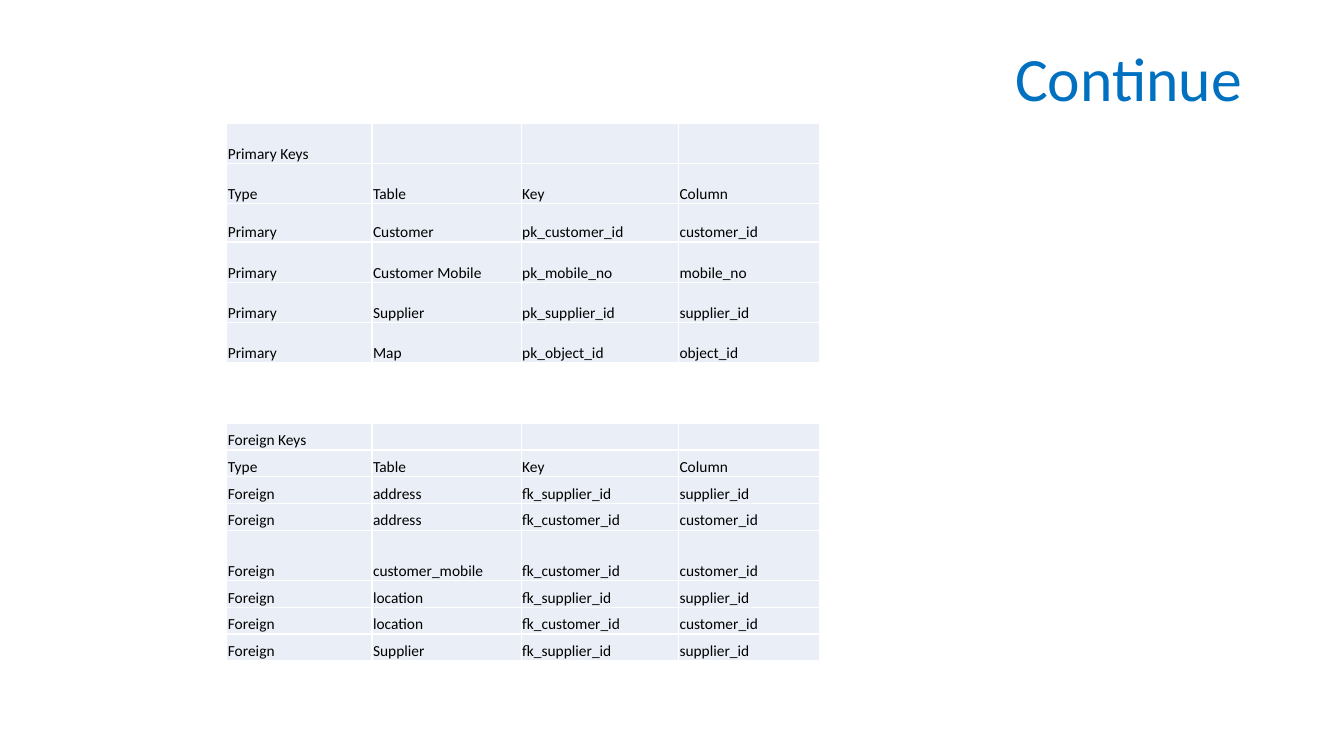
from dataclasses import dataclass

from lxml import etree
from pptx import Presentation
from pptx.dml.color import RGBColor
from pptx.enum.text import MSO_ANCHOR, PP_ALIGN
from pptx.oxml.ns import qn
from pptx.slide import Slide
from pptx.table import _Cell
from pptx.text.text import _Paragraph
from pptx.util import Inches, Pt

RIGHT = PP_ALIGN.RIGHT
MIDDLE, BOTTOM = MSO_ANCHOR.MIDDLE, MSO_ANCHOR.BOTTOM

COLORS = {"title": "0070C0", "text": "000000", "cell": "EAEFF7", "border": "FFFFFF"}
FONT = "Calibri"
CELL_SIZE = Pt(11)
TABLE_LEFT = 2.25
COLUMN_WIDTHS = (1.44, 1.48, 1.56, 1.4)
HEADINGS = ("Type", "Table", "Key", "Column")


@dataclass
class KeyTable:
    """One kind of database key, with (table, key, column) entries."""

    kind: str
    top: float
    row_heights: list[float]
    entries: list[tuple[str, str, str]]

    def rows(self) -> list[tuple[str, ...]]:
        """Return the caption, heading and entry rows."""
        caption = (f"{self.kind} Keys", "", "", "")
        return [caption, HEADINGS] + [(self.kind, *entry) for entry in self.entries]


KEY_TABLES = [
    KeyTable("Primary", 1.22, [0.4, 0.4, 0.38, 0.4, 0.4, 0.4], [
        ("Customer", "pk_customer_id", "customer_id"),
        ("Customer Mobile", "pk_mobile_no", "mobile_no"),
        ("Supplier", "pk_supplier_id", "supplier_id"),
        ("Map", "pk_object_id", "object_id"),
    ]),
    KeyTable("Foreign", 4.2, [0.265] * 4 + [0.5] + [0.265] * 3, [
        ("address", "fk_supplier_id", "supplier_id"),
        ("address", "fk_customer_id", "customer_id"),
        ("customer_mobile", "fk_customer_id", "customer_id"),
        ("location", "fk_supplier_id", "supplier_id"),
        ("location", "fk_customer_id", "customer_id"),
        ("Supplier", "fk_supplier_id", "supplier_id"),
    ]),
]


def add_span(para: _Paragraph, text: str, size: Pt, color: str) -> None:
    """Add one formatted run to a paragraph."""
    span = para.add_run()
    span.text = text
    span.font.name = FONT
    span.font.size = size
    span.font.color.rgb = RGBColor.from_string(COLORS[color])


def add_borders(cell: _Cell) -> None:
    """Draw a thin line on all four sides of a cell."""
    properties = cell._tc.get_or_add_tcPr()
    for index, side in enumerate(("lnL", "lnR", "lnT", "lnB")):
        line = etree.Element(qn(f"a:{side}"), w=str(Pt(1)))
        fill = etree.SubElement(line, qn("a:solidFill"))
        etree.SubElement(fill, qn("a:srgbClr"), val=COLORS["border"])
        properties.insert(index, line)


def fill_cell(cell: _Cell, text: str) -> None:
    """Format a cell and write its text."""
    cell.margin_left = cell.margin_right = cell.margin_top = Inches(0.01)
    cell.margin_bottom = 0
    cell.vertical_anchor = BOTTOM
    cell.fill.solid()
    cell.fill.fore_color.rgb = RGBColor.from_string(COLORS["cell"])
    add_borders(cell)
    para = cell.text_frame.paragraphs[0]
    if text:
        add_span(para, text, CELL_SIZE, "text")
    else:
        size = str(int(CELL_SIZE.pt * 100))
        etree.SubElement(para._p, qn("a:endParaRPr"), sz=size)


def add_key_table(page: Slide, keys: KeyTable) -> None:
    """Add a table that lists one kind of key."""
    rows = keys.rows()
    frame = page.shapes.add_table(
        len(rows), len(COLUMN_WIDTHS), Inches(TABLE_LEFT), Inches(keys.top),
        Inches(sum(COLUMN_WIDTHS)), Inches(sum(keys.row_heights)))
    table = frame.table
    table.first_row = table.horz_banding = False
    for column, width in zip(table.columns, COLUMN_WIDTHS):
        column.width = Inches(width)
    for row, height, texts in zip(table.rows, keys.row_heights, rows):
        row.height = Inches(height)
        for cell, text in zip(row.cells, texts):
            fill_cell(cell, text)


def add_title(page: Slide, text: str) -> None:
    """Place and format the slide title."""
    box = page.shapes.title
    box.left, box.top = Inches(0.92), Inches(0.4)
    box.width, box.height = Inches(11.5), Inches(0.82)
    box.text_frame.vertical_anchor = MIDDLE
    para = box.text_frame.paragraphs[0]
    para.alignment = RIGHT
    para.line_spacing = 0.9
    add_span(para, text, Pt(44), "title")


deck = Presentation()
deck.slide_width, deck.slide_height = Inches(13.33), Inches(7.5)
page = deck.slides.add_slide(deck.slide_layouts.get_by_name("Title Only"))
add_title(page, "Continue")
for key_table in KEY_TABLES:
    add_key_table(page, key_table)
deck.save("out.pptx")
